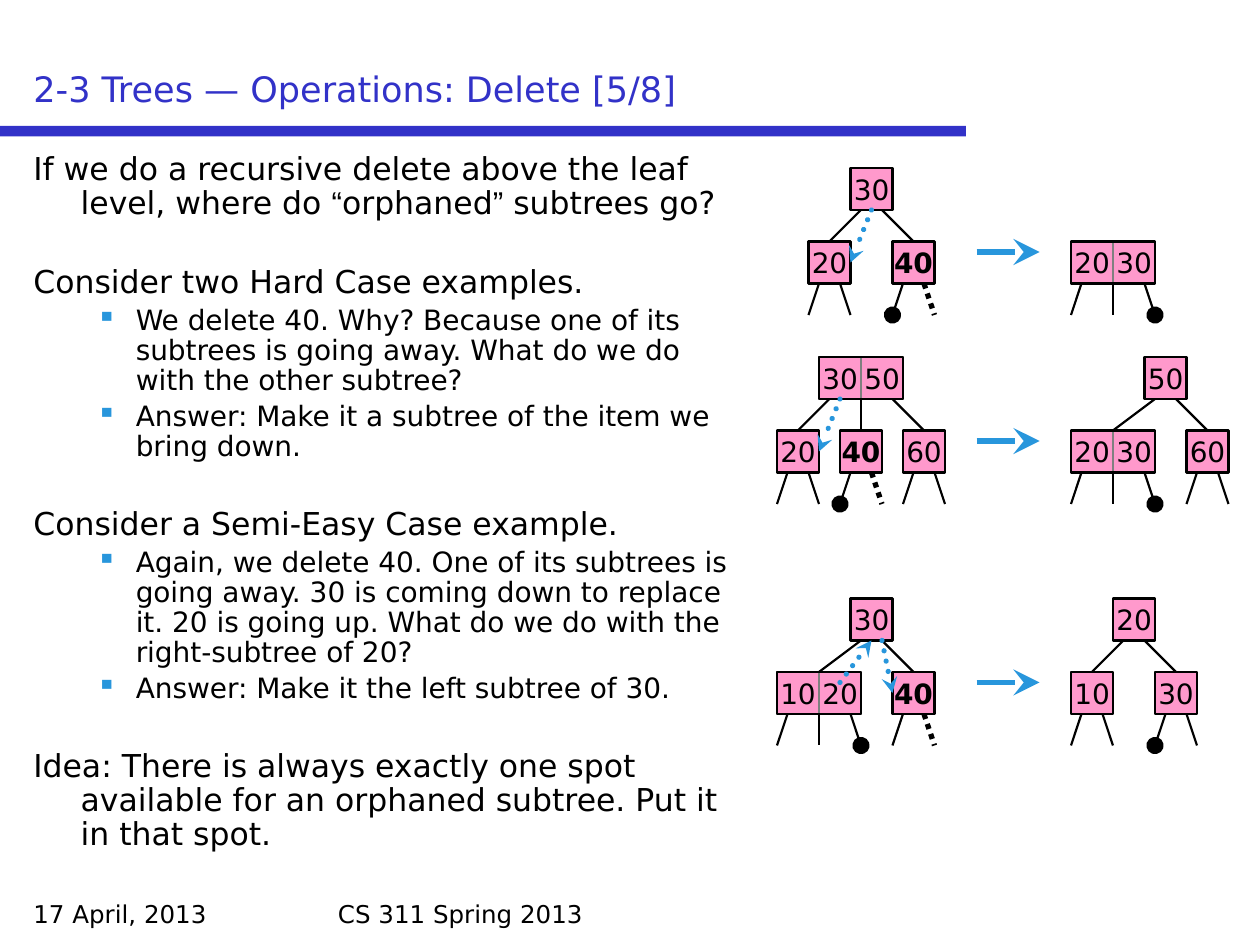
"""Build the slide on deleting from 2-3 trees."""
from dataclasses import dataclass

from lxml import etree
from pptx import Presentation
from pptx.dml.color import RGBColor
from pptx.enum.dml import MSO_LINE
from pptx.enum.shapes import MSO_CONNECTOR, MSO_SHAPE
from pptx.enum.text import MSO_ANCHOR, PP_ALIGN
from pptx.oxml.ns import qn
from pptx.util import Pt

RECT, STRAIGHT = MSO_SHAPE.RECTANGLE, MSO_CONNECTOR.STRAIGHT
DOTTED = MSO_LINE.ROUND_DOT
TOP, BOTTOM, MIDDLE = MSO_ANCHOR.TOP, MSO_ANCHOR.BOTTOM, MSO_ANCHOR.MIDDLE
CENTER = PP_ALIGN.CENTER
TOP_SIDE, LEFT_SIDE, BOTTOM_SIDE, RIGHT_SIDE = range(4)
GRID, CELL, EDGE, STUB = 6, 4, 3, 3
PLAIN, ORPHAN, GONE = "plain", "orphan", "gone"
DELETED = "40"


@dataclass(frozen=True)
class Theme:
    """Colours, fonts and sizes of the slide."""
    ink: RGBColor = RGBColor(0, 0, 0)
    heading: RGBColor = RGBColor(0x32, 0x32, 0xC8)
    accent: RGBColor = RGBColor(0x28, 0x96, 0xDC)
    node: RGBColor = RGBColor(0xFF, 0x99, 0xCC)
    divider: RGBColor = RGBColor(0x80, 0x80, 0x80)
    font: str = "DejaVu Sans"
    quote_font: str = "Arial"
    title: int = 20
    body: int = 18
    detail: int = 16
    footer: int = 14
    thin: float = 0.75
    medium: float = 1.25
    thick: float = 3


THEME = Theme()


@dataclass(frozen=True)
class Node:
    """A tree node with its column on the grid, keys and subtrees."""
    column: int
    keys: tuple
    children: tuple = ()
    stubs: tuple = ()


BODY = [
    (0, "If we do a recursive delete above the leaf level, where do “orphaned” subtrees go?"),
    (0, "Consider two Hard Case examples."),
    (1, "We delete 40. Why? Because one of its subtrees is going away. "
        "What do we do with the other subtree?"),
    (1, "Answer: Make it a subtree of the item we bring down."),
    (0, "Consider a Semi-Easy Case example."),
    (1, "Again, we delete 40. One of its subtrees is going away. 30 is coming down to "
        "replace it. 20 is going up. What do we do with the right-subtree of 20?"),
    (1, "Answer: Make it the left subtree of 30."),
    (0, "Idea: There is always exactly one spot available for an orphaned subtree. "
        "Put it in that spot."),
]
LEAF = (PLAIN, PLAIN)
MERGED = Node(102, ("20", "30"), stubs=(PLAIN, PLAIN, ORPHAN))


def add_run(paragraph, words, size, color, font=THEME.font, bold=False):
    """Append one formatted run."""
    run = paragraph.add_run()
    run.text = words
    run.font.name, run.font.size, run.font.bold = font, Pt(size), bold
    run.font.color.rgb = color


def add_text_frame(slide, left, top, width, height, anchor=TOP):
    """Add a wrapping text box and return its frame."""
    frame = slide.shapes.add_textbox(Pt(left), Pt(top), Pt(width), Pt(height)).text_frame
    frame.word_wrap, frame.vertical_anchor = True, anchor
    return frame


def add_label(slide, words, place, size, color, anchor=TOP):
    """Add a text box holding one line."""
    frame = add_text_frame(slide, *place, anchor)
    add_run(frame.paragraphs[0], words, size, color)


def set_indent(paragraph, level):
    """Set the hanging indent, and the bullet of a detail."""
    margin, hang = ((27, 27), (58.5, 22.5))[level]
    properties = paragraph._p.get_or_add_pPr()
    properties.set("marL", str(Pt(margin)))
    properties.set("indent", str(-Pt(hang)))
    if level:
        color = etree.SubElement(properties, qn("a:buClr"))
        etree.SubElement(color, qn("a:srgbClr"), val=str(THEME.accent))
        etree.SubElement(properties, qn("a:buChar"), char="▪")


def add_body(slide):
    """Write the questions and their bulleted answers."""
    frame = add_text_frame(slide, 12, 84, 420, 420)
    for index, (level, words) in enumerate(BODY):
        paragraph = frame.add_paragraph() if index else frame.paragraphs[0]
        set_indent(paragraph, level)
        paragraph.level, paragraph.line_spacing = level, 0.9
        if index:
            paragraph.space_before = Pt((26, 3.2)[level])
        size = (THEME.body, THEME.detail)[level]
        for part in words.replace("“", "|“|").replace("”", "|”|").split("|"):
            font = THEME.quote_font if part in "“”" else THEME.font
            add_run(paragraph, part, size, THEME.ink, font)


def add_box(slide, column, row, cells, fill, border, weight):
    """Add a rectangle some cells wide on the grid."""
    box = slide.shapes.add_shape(RECT, *(Pt(GRID * n) for n in (column, row, CELL * cells, CELL)))
    box.shadow.inherit = False
    if fill is None:
        box.fill.background()
    else:
        box.fill.solid()
        box.fill.fore_color.rgb = fill
    box.line.color.rgb, box.line.width = border, Pt(weight)
    return box


def add_cell(slide, column, row, key, border, weight):
    """Add one cell with its key."""
    cell = add_box(slide, column, row, 1, THEME.node, border, weight)
    frame = cell.text_frame
    frame.word_wrap, frame.vertical_anchor = False, MIDDLE
    frame.margin_left = frame.margin_right = 0
    frame.paragraphs[0].alignment = CENTER
    add_run(frame.paragraphs[0], key, THEME.detail, THEME.ink, bold=key == DELETED)
    return cell


def add_line(slide, start, end, color=THEME.ink, weight=THEME.medium,
             dotted=False, round_cap=False, tip=None, tip_size="med"):
    """Draw a line between grid points or (box, side) joints."""
    points = [joint if isinstance(joint[0], int) else (0, 0) for joint in (start, end)]
    line = slide.shapes.add_connector(STRAIGHT, *(Pt(GRID * n) for point in points for n in point))
    if not isinstance(start[0], int):
        line.begin_connect(*start)
    if not isinstance(end[0], int):
        line.end_connect(*end)
    line.line.color.rgb, line.line.width = color, Pt(weight)
    if dotted:
        line.line.dash_style = DOTTED
    outline = line.element.spPr.get_or_add_ln()
    if round_cap:
        outline.set("cap", "rnd")
    if tip:
        etree.SubElement(outline, qn("a:tailEnd"), type=tip, w=tip_size, len=tip_size)
    etree.SubElement(line.element.spPr, qn("a:effectLst"))


def add_tree(slide, node, row, cells):
    """Draw a node and all below it, collect its cells by key and return its box."""
    count = len(node.keys)
    border, weight = (THEME.ink, THEME.medium) if count == 1 else (THEME.divider, THEME.thin)
    for index, key in enumerate(node.keys):
        cells[key] = add_cell(slide, node.column + CELL * index, row, key, border, weight)
    box = cells[node.keys[0]]
    if count > 1:
        box = add_box(slide, node.column, row, count, None, THEME.ink, THEME.medium)
    width, bottom = CELL * count, row + CELL
    exits = [(node.column + 1, bottom), (node.column + width - 1, bottom)]
    feet = [node.column, node.column + width]
    if count > 1:
        exits.insert(1, (box, BOTTOM_SIDE))
        feet.insert(1, node.column + width // 2)
    for start, child in zip(exits, node.children):
        add_line(slide, start, (add_tree(slide, child, bottom + EDGE, cells), TOP_SIDE))
    styles = {PLAIN: {}, ORPHAN: {"tip": "oval", "tip_size": "lg"},
              GONE: {"weight": THEME.thick, "dotted": True}}
    for start, foot, kind in zip(exits, feet, node.stubs):
        add_line(slide, start, (foot, bottom + STUB), **styles[kind])
    return box


def add_example(slide, row, before, after, after_row, moves):
    """Draw the trees before and after a delete, with the moving keys."""
    cells = {}
    add_tree(slide, before, row, cells)
    add_tree(slide, after, after_row, {})
    accent = {"color": THEME.accent, "weight": THEME.thick, "tip": "stealth"}
    for move in moves:
        start, end = ((cells.get(place, place), side) for place, side in move)
        add_line(slide, start, end, dotted=True, round_cap=True, **accent)
    level = row + CELL + EDGE + 1
    add_line(slide, (93, level), (99, level), tip_size="lg", **accent)


def main():
    """Build and save the slide."""
    deck = Presentation()
    deck.slide_width, deck.slide_height = Pt(720), Pt(540)
    slide = deck.slides.add_slide(deck.slide_layouts[6])
    bar = slide.shapes.add_shape(RECT, 0, Pt(72), Pt(552), Pt(6))
    bar.shadow.inherit = False
    bar.fill.solid()
    bar.fill.fore_color.rgb = THEME.heading
    bar.line.fill.background()
    add_label(slide, "17 April, 2013", (12, 510, 168, 24), THEME.footer, THEME.ink)
    add_label(slide, "CS 311 Spring 2013", (186, 510, 348, 24), THEME.footer, THEME.ink)
    add_label(slide, "2-3 Trees — Operations: Delete [5/8]", (12, 12, 696, 54),
              THEME.title, THEME.heading, BOTTOM)
    add_body(slide)

    bring_down = (("30", BOTTOM_SIDE), ("20", RIGHT_SIDE))
    add_example(slide, 16, Node(81, ("30",), (
        Node(77, ("20",), stubs=LEAF), Node(85, (DELETED,), stubs=(ORPHAN, GONE)))),
        MERGED, 23, [bring_down])
    add_example(slide, 34, Node(78, ("30", "50"), (
        Node(74, ("20",), stubs=LEAF), Node(80, (DELETED,), stubs=(ORPHAN, GONE)),
        Node(86, ("60",), stubs=LEAF))),
        Node(109, ("50",), (MERGED, Node(113, ("60",), stubs=LEAF))), 34, [bring_down])
    add_example(slide, 57, Node(81, ("30",), (
        Node(74, ("10", "20"), stubs=(PLAIN, PLAIN, ORPHAN)),
        Node(85, (DELETED,), stubs=(PLAIN, GONE)))),
        Node(106, ("20",), (Node(102, ("10",), stubs=LEAF),
                            Node(110, ("30",), stubs=(ORPHAN, PLAIN)))), 57,
        [((84, 61), (DELETED, LEFT_SIDE)), ((80, 65), ("30", BOTTOM_SIDE))])
    deck.save("out.pptx")


if __name__ == "__main__":
    main()
